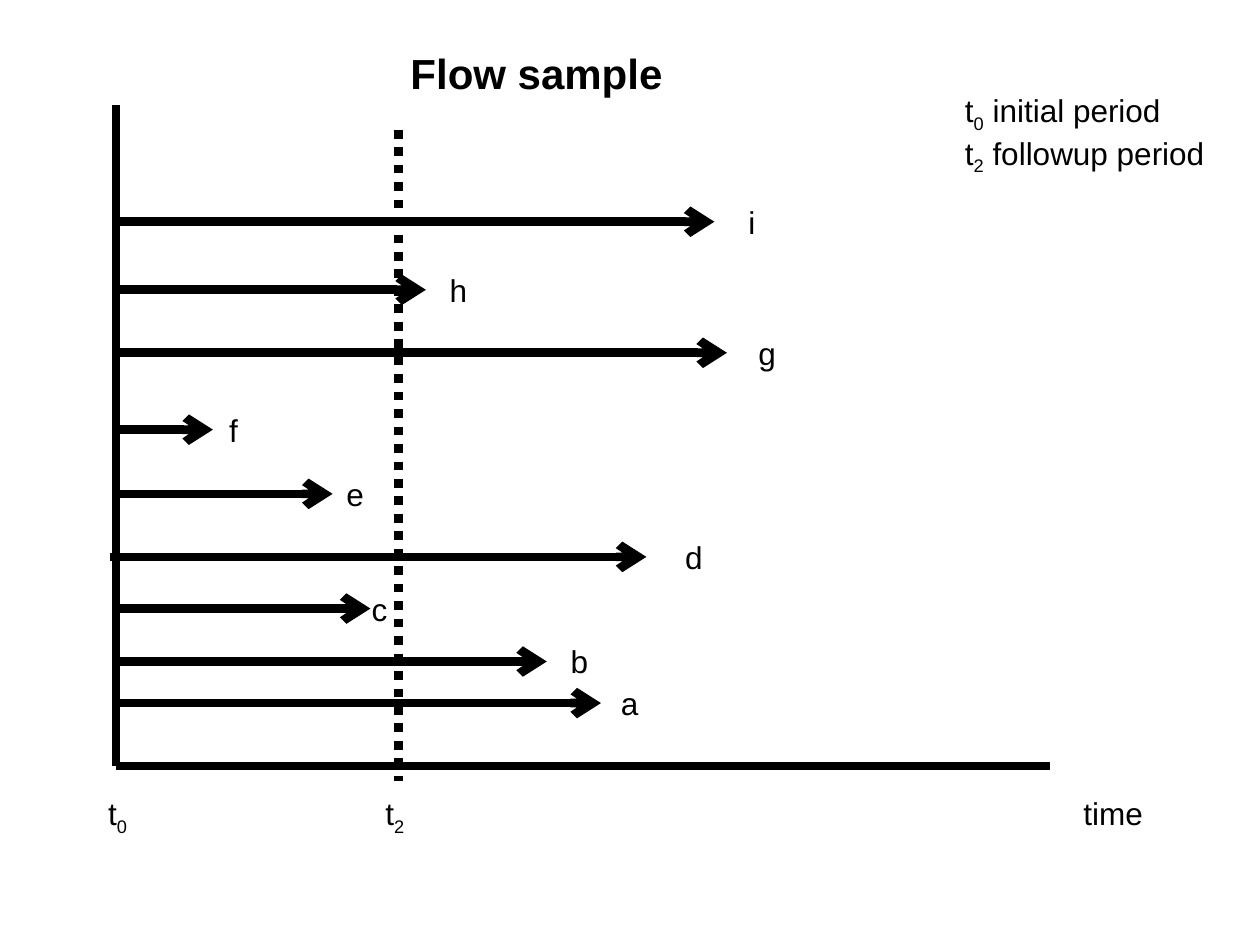
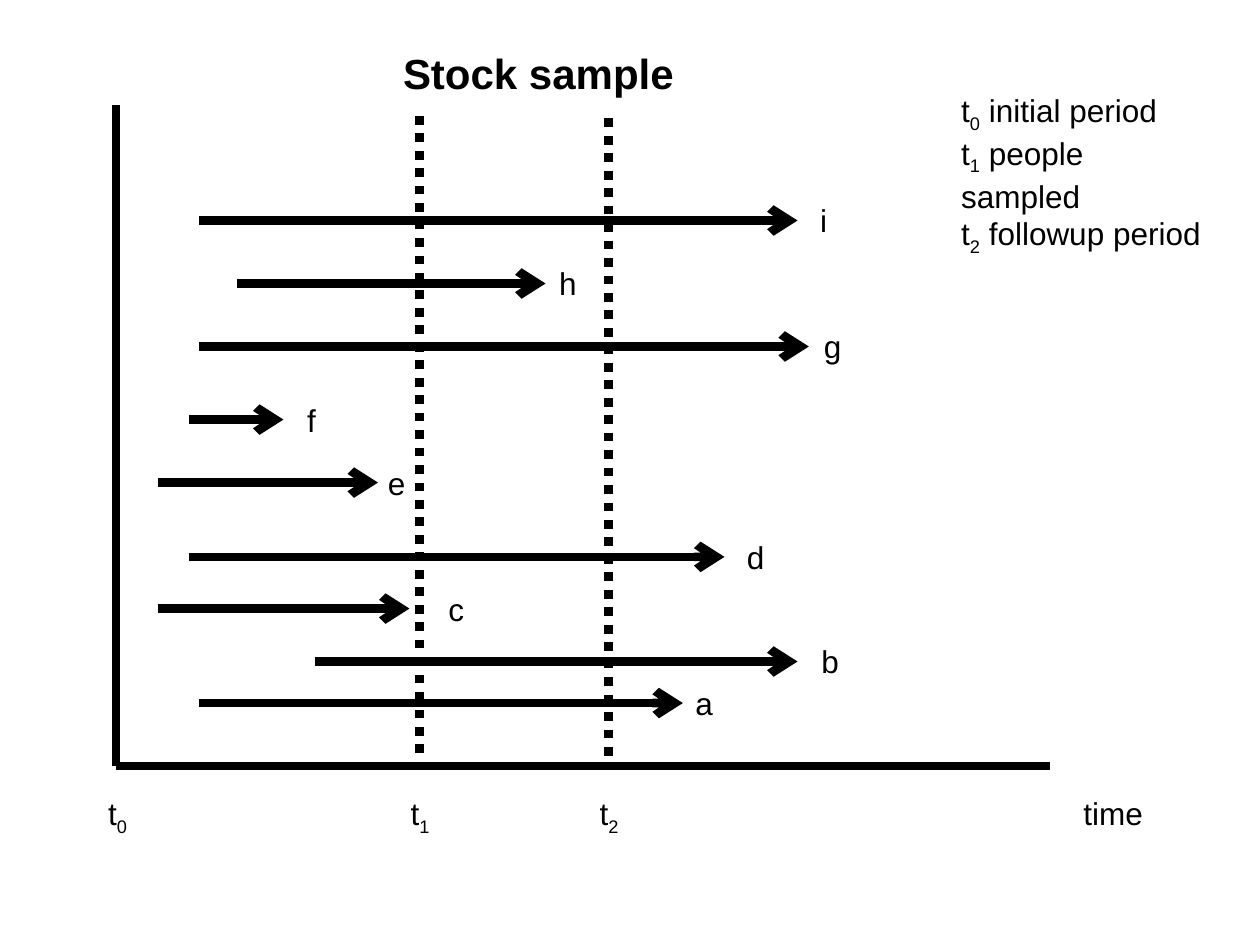
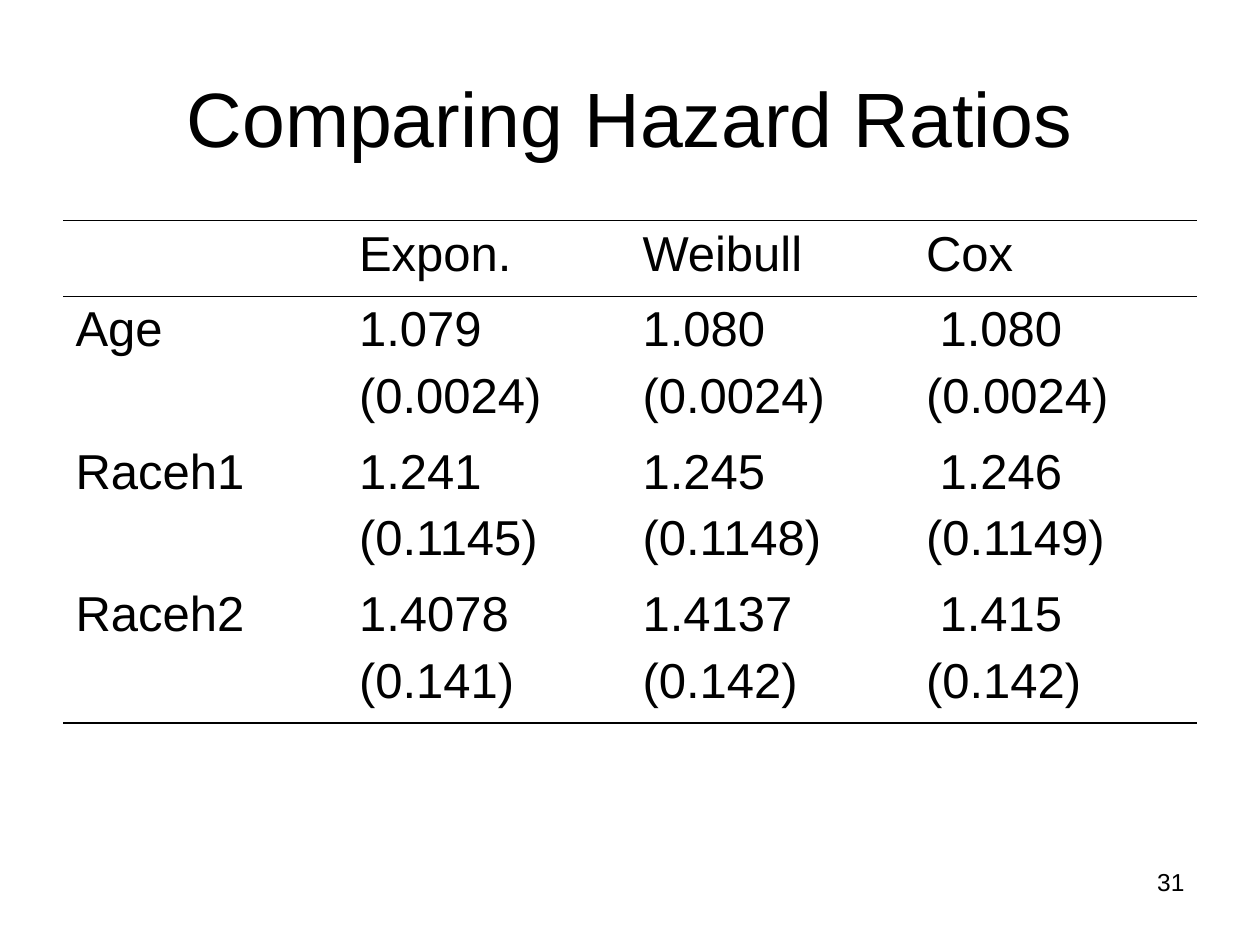
from dataclasses import dataclass

from lxml import etree
from pptx import Presentation
from pptx.dml.color import RGBColor
from pptx.enum.dml import MSO_LINE
from pptx.enum.shapes import MSO_CONNECTOR
from pptx.enum.text import MSO_ANCHOR, MSO_AUTO_SIZE, PP_ALIGN
from pptx.oxml.ns import qn
from pptx.util import Inches, Pt

COLORS = {"ink": "000000", "paper": "FFFFFF"}
FONT = "Arial"
STRAIGHT = MSO_CONNECTOR.STRAIGHT
DOTTED = MSO_LINE.ROUND_DOT
LEFT, CENTER, RIGHT = PP_ALIGN.LEFT, PP_ALIGN.CENTER, PP_ALIGN.RIGHT
MIDDLE, TOP = MSO_ANCHOR.MIDDLE, MSO_ANCHOR.TOP
FIT_SHAPE, NO_FIT = MSO_AUTO_SIZE.SHAPE_TO_FIT_TEXT, MSO_AUTO_SIZE.NONE

AXIS_X, AXIS_Y = 0.92, 6.08
AXIS_TOP, AXIS_END = 0.83, 8.33
LINE_WIDTH = 4.99
LABEL_WIDTHS = {"i": 0.25, "f": 0.27, "c": 0.32}
LABEL_WIDTH, LABEL_HEIGHT = 0.34, 0.4
TICK_WIDTH, TICK_HEIGHT = 0.35, 0.44


@dataclass
class Spell:
    """One arrow of a duration diagram, with its letter."""
    name: str
    start: float
    end: float
    y: float
    label_x: float


@dataclass
class Period:
    """A dotted vertical line and the tick label below it."""
    name: str
    x: float
    top: float
    bottom: float
    label_x: float


@dataclass
class Diagram:
    """The contents of one sampling slide."""
    title: str
    title_x: float
    title_width: float
    legend: list[str]
    legend_x: float
    legend_width: float
    periods: list[Period]
    spells: list[Spell]


FLOW = Diagram(
    "Flow sample", 3.16, 2.2,
    ["t_0 initial period", "t_2 followup period"], 7.56, 2.1,
    [Period("t_2", 3.16, 1.03, 6.2, 2.96)],
    [
        Spell("a", 0.94, 4.77, 5.58, 4.83),
        Spell("b", 0.94, 4.34, 5.25, 4.43),
        Spell("c", 0.94, 2.94, 4.83, 2.85),
        Spell("d", 0.87, 5.13, 4.42, 5.34),
        Spell("e", 0.89, 2.64, 3.92, 2.65),
        Spell("f", 0.94, 1.69, 3.41, 1.72),
        Spell("g", 0.94, 5.77, 2.8, 5.92),
        Spell("h", 0.92, 3.38, 2.3, 3.47),
        Spell("i", 0.92, 5.67, 1.76, 5.84),
    ],
)
STOCK = Diagram(
    "Stock sample", 3.1, 2.35,
    ["t_0 initial period", "t_1 people sampled", "t_2 followup period"],
    7.53, 2.18,
    [Period("t_1", 3.33, 0.92, 6.08, 3.16),
     Period("t_2", 4.83, 0.94, 6.11, 4.66)],
    [
        Spell("a", 1.58, 5.42, 5.58, 5.42),
        Spell("b", 2.5, 6.33, 5.25, 6.42),
        Spell("c", 1.25, 3.25, 4.83, 3.46),
        Spell("d", 1.5, 5.75, 4.42, 5.83),
        Spell("e", 1.25, 3, 3.83, 2.98),
        Spell("f", 1.5, 2.25, 3.33, 2.34),
        Spell("g", 1.58, 6.42, 2.75, 6.44),
        Spell("h", 1.88, 4.33, 2.25, 4.34),
        Spell("i", 1.58, 6.33, 1.75, 6.41),
    ],
)
HAZARD_ROWS = [
    ["", "Expon.", "Weibull", "Cox"],
    ["Age", "1.079\n(0.0024)", "1.080\n(0.0024)", " 1.080\n(0.0024)"],
    ["Raceh1", "1.241\n(0.1145)", "1.245\n(0.1148)", " 1.246\n(0.1149)"],
    ["Raceh2", "1.4078\n(0.141)", "1.4137\n(0.142)", " 1.415\n(0.142)"],
]
ROW_HEIGHTS = [0.6, 1.13, 1.13, 1.13]
COLUMN_WIDTH = 2.25
THIN, THICK = 0.45, 1.08
RULES = {(0, "T"): THICK, (0, "B"): THIN, (1, "T"): THIN, (3, "B"): THICK}


def add_slide(prs):
    """Add a blank slide with the shared background."""
    s = prs.slides.add_slide(prs.slide_layouts[6])
    s.background.fill.solid()
    s.background.fill.fore_color.rgb = RGBColor.from_string(COLORS["paper"])
    return s


def style_runs(p, size: float, bold: bool = False) -> None:
    """Give every run of a paragraph the shared font."""
    for r in p.runs:
        r.font.name = FONT
        r.font.size = Pt(size)
        r.font.bold = bold
        r.font.color.rgb = RGBColor.from_string(COLORS["ink"])


def set_subscripted(p, text: str) -> None:
    """Write text, lowering the one character after an underscore."""
    base, _, rest = text.partition("_")
    p.text = base
    if rest:
        r = p.add_run()
        r.text = rest[0]
        r.font._element.set("baseline", "-25000")
    if rest[1:]:
        p.add_run().text = rest[1:]


def add_text(s, lines: list[str], x: float, y: float, w: float, h: float,
             size: float = 18, bold: bool = False, align=LEFT, anchor=TOP,
             wrap: bool = False) -> None:
    """Add a text box with one paragraph for each line."""
    tf = s.shapes.add_textbox(Inches(x), Inches(y), Inches(w), Inches(h)).text_frame
    tf.word_wrap = wrap
    tf.auto_size = NO_FIT if wrap else FIT_SHAPE
    tf.vertical_anchor = anchor
    for i, line in enumerate(lines):
        p = tf.add_paragraph() if i else tf.paragraphs[0]
        set_subscripted(p, line)
        p.alignment = align
        style_runs(p, size, bold)


def add_line(s, x1: float, y1: float, x2: float, y2: float,
             dotted: bool = False, arrow: bool = False) -> None:
    """Add a heavy straight line, dotted or with an arrowhead on request."""
    sp = s.shapes.add_connector(STRAIGHT, Inches(x1), Inches(y1),
                                Inches(x2), Inches(y2))
    sp.line.width = Pt(LINE_WIDTH)
    sp.line.color.rgb = RGBColor.from_string(COLORS["ink"])
    if dotted:
        sp.line.dash_style = DOTTED
    props = sp._element.spPr
    if arrow:
        etree.SubElement(props.find(qn("a:ln")), qn("a:tailEnd"), type="arrow")
    etree.SubElement(props, qn("a:effectLst"))


def add_diagram(prs, diagram: Diagram) -> None:
    """Draw a sampling slide: axes, periods, spells, legend and title."""
    s = add_slide(prs)
    add_line(s, AXIS_X, AXIS_Y, AXIS_END, AXIS_Y)
    add_line(s, AXIS_X, AXIS_Y, AXIS_X, AXIS_TOP)
    add_text(s, ["time"], 8.5, 6.25, 0.67, LABEL_HEIGHT)
    add_text(s, ["t_0"], 0.76, 6.25, TICK_WIDTH, TICK_HEIGHT)
    for spell in diagram.spells:
        add_line(s, spell.start, spell.y, spell.end, spell.y, arrow=True)
        add_text(s, [spell.name], spell.label_x, spell.y - LABEL_HEIGHT / 2,
                 LABEL_WIDTHS.get(spell.name, LABEL_WIDTH), LABEL_HEIGHT)
    for period in diagram.periods:
        add_line(s, period.x, period.top, period.x, period.bottom, dotted=True)
        add_text(s, [period.name], period.label_x, 6.25, TICK_WIDTH, TICK_HEIGHT)
    add_text(s, diagram.legend, diagram.legend_x, 0.67, diagram.legend_width,
             0.1 + 0.34 * len(diagram.legend))
    add_text(s, [diagram.title], diagram.title_x, 0.33, diagram.title_width, 0.5,
             size=24, bold=True)


def set_borders(cell, row: int) -> None:
    """Set the four borders of a cell from the horizontal rules."""
    props = cell._tc.get_or_add_tcPr()
    for i, side in enumerate("LRTB"):
        ln = etree.Element(qn(f"a:ln{side}"))
        width = RULES.get((row, side))
        if width:
            ln.set("w", str(Pt(width)))
            fill = etree.SubElement(ln, qn("a:solidFill"))
            etree.SubElement(fill, qn("a:srgbClr"), val=COLORS["ink"])
        else:
            etree.SubElement(ln, qn("a:noFill"))
        props.insert(i, ln)


def add_hazard_table(s) -> None:
    """Add the table of hazard ratios and standard errors."""
    columns = len(HAZARD_ROWS[0])
    table = s.shapes.add_table(
        len(HAZARD_ROWS), columns, Inches(0.5), Inches(1.75),
        Inches(COLUMN_WIDTH * columns), Inches(sum(ROW_HEIGHTS))).table
    table.first_row = table.horz_banding = False
    for row, values in enumerate(HAZARD_ROWS):
        table.rows[row].height = Inches(ROW_HEIGHTS[row])
        for col, value in enumerate(values):
            cell = table.cell(row, col)
            cell.fill.background()
            set_borders(cell, row)
            cell.text_frame.text = value
            for p in cell.text_frame.paragraphs:
                p.space_before = Pt(7)
                style_runs(p, 28)


def add_comparison(prs) -> None:
    """Draw the slide that compares the hazard ratios."""
    s = add_slide(prs)
    add_text(s, ["Comparing Hazard Ratios"], 0.5, 0.3, 9, 1.25, size=44,
             align=CENTER, anchor=MIDDLE, wrap=True)
    add_hazard_table(s)
    add_text(s, ["31"], 7.17, 6.83, 2.33, 0.52, size=14, align=RIGHT, wrap=True)


def main() -> None:
    """Build the deck and save it."""
    prs = Presentation()
    prs.slide_width, prs.slide_height = Inches(10), Inches(7.5)
    for diagram in (FLOW, STOCK):
        add_diagram(prs, diagram)
    add_comparison(prs)
    prs.save("out.pptx")


main()
